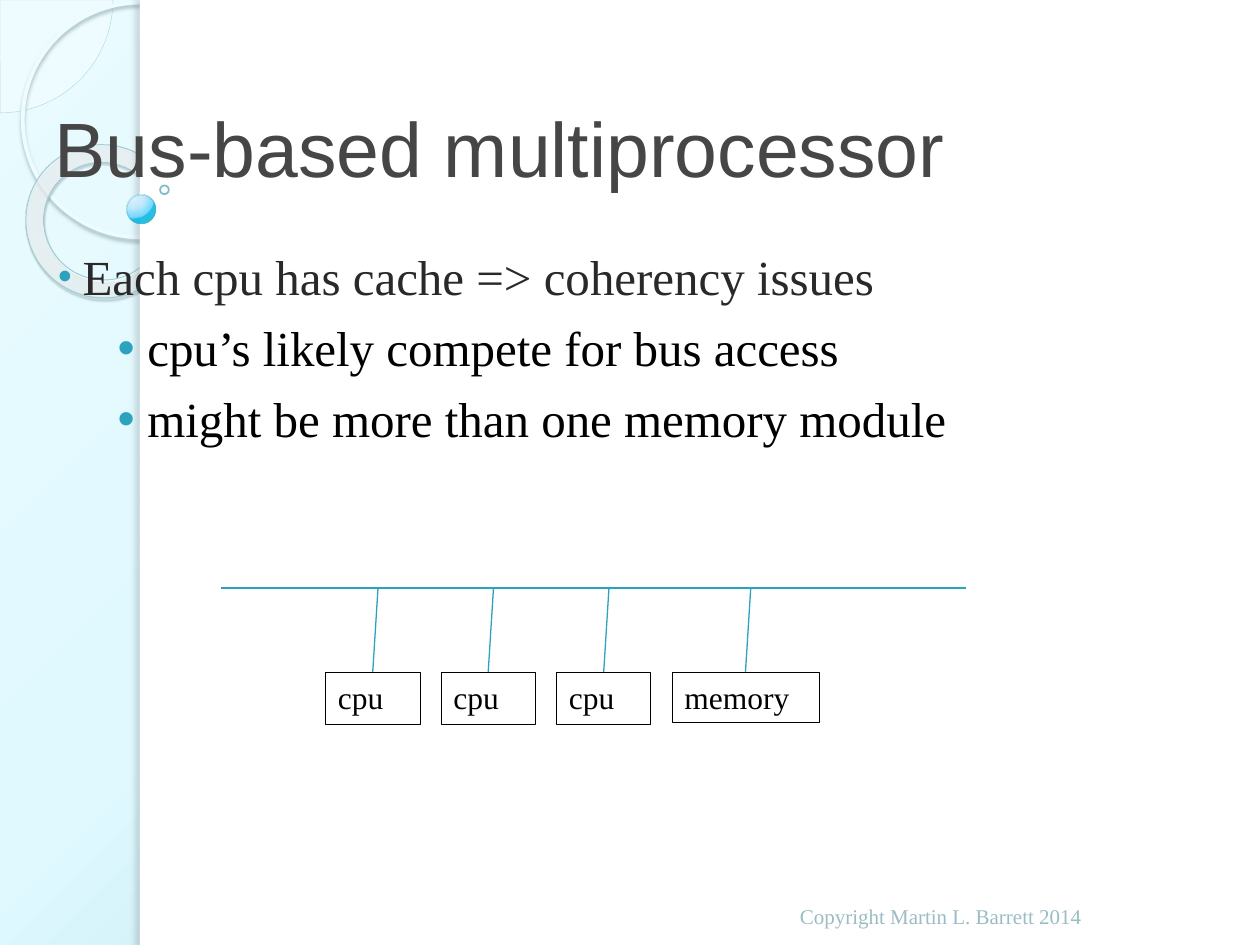
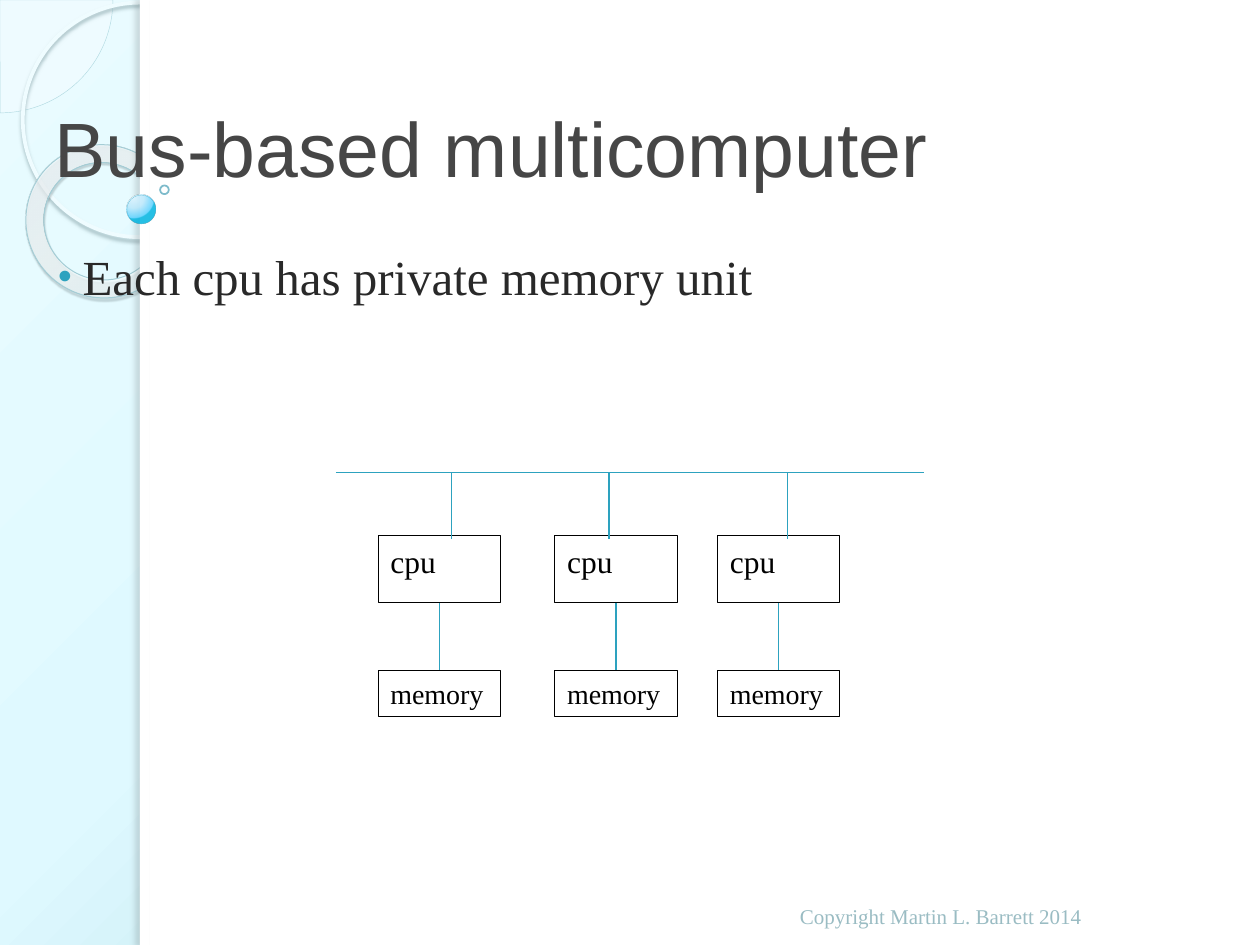
from lxml import etree
from pptx import Presentation
from pptx.dml.color import RGBColor
from pptx.enum.shapes import MSO_CONNECTOR, MSO_SHAPE
from pptx.enum.text import MSO_ANCHOR, MSO_AUTO_SIZE, PP_ALIGN
from pptx.oxml import parse_xml
from pptx.oxml.ns import nsdecls, qn
from pptx.util import Pt

BLACK = RGBColor(0x00, 0x00, 0x00)
WHITE = RGBColor(0xFF, 0xFF, 0xFF)
TITLE_GREY = RGBColor(0x46, 0x46, 0x46)
BODY_GREY = RGBColor(0x29, 0x29, 0x29)
FOOTER_GREY = RGBColor(0x9A, 0xBC, 0xC3)
TEAL = RGBColor(0x2D, 0xA2, 0xBF)
PALE = RGBColor(0xF9, 0xFE, 0xFF)
PIE_EDGE = RGBColor(0xB2, 0xDA, 0xE2)
CIRCLE_EDGE = RGBColor(0xEF, 0xFC, 0xFF)
DONUT_EDGE = RGBColor(0xA4, 0xCD, 0xD6)
BALL_EDGE = RGBColor(0x24, 0x9F, 0xBD)
RING_EDGE = RGBColor(0x28, 0x8F, 0xA9)

HEADING_FONT = "Arial"
BODY_FONT = "Times New Roman"
FOOTER = "Copyright Martin L. Barrett 2014"

# Gradients: (position, colour, opacity) stops, then the focus rectangle, all in percent
BACKDROP = ([(0, "E9FBFF", 100), (40, "DFF9FF", 100), (100, "96CBD6", 100)],
            (-24, -20, 124, 120))
DONUT_SHEEN = ([(0, "F9FEFF", 70), (70, "FDFFFF", 55), (100, "A3EEFE", 60)],
               (-408, -50, 508, 150))
BALL_SHEEN = ([(0, "DDF4FF", 95), (50, "BDE9FC", 90), (95, "61D3FF", 88),
               (100, "00B5E1", 85)], (25, 12, 75, 88))

# Shadows: colour, opacity, blur, distance, direction
DECORATIONS = [
    dict(kind=MSO_SHAPE.PIE, place=(-64.5, -64.5, 129, 129), adjust={0: 0, 1: 54},
         fill=PALE, fill_alpha=33, edge=PIE_EDGE, weight=0.25),
    dict(kind=MSO_SHAPE.OVAL, place=(13, 1.5, 134, 134), edge=CIRCLE_EDGE, weight=2.15,
         shadow=("9FB9BE", 85, 2, 2, 90)),
    dict(kind=MSO_SHAPE.DONUT, place=(14.5, 83, 88.5, 87), adjust={0: 0.118}, rotation=38.6,
         gradient=DONUT_SHEEN, edge=DONUT_EDGE, weight=0.58,
         shadow=("4C5D61", 35, 1, 1.2, 75)),
    dict(kind=MSO_SHAPE.RECTANGLE, place=(80, 0, 640, 540), fill=WHITE),
    dict(kind=MSO_SHAPE.RECTANGLE, place=(80, 0, 5.5, 540), fill=WHITE,
         shadow=("6E7A7D", 25, 3, 3, 180)),
    dict(kind=MSO_SHAPE.OVAL, place=(72.5, 111.5, 16.5, 16.5), gradient=BALL_SHEEN,
         edge=BALL_EDGE, weight=0.16, edge_alpha=60),
    dict(kind=MSO_SHAPE.OVAL, place=(91.5, 106, 5, 5), edge=RING_EDGE, weight=1,
         edge_alpha=60),
]

MULTIPROCESSOR = dict(
    title="Bus-based multiprocessor",
    bullets=[(0, "Each cpu has cache => coherency issues"),
             (1, "cpu’s likely compete for bus access"),
             (1, "might be more than one memory module")],
    bus=(126, 552, 336))
BUS_UNITS = [("cpu", 54, 30), ("cpu", 54, 30), ("cpu", 54, 30), ("memory", 84, 29)]
UNIT_LEFT, UNIT_STEP, UNIT_TOP, STEM_LEAN = 186, 66, 384, 3

MULTICOMPUTER = dict(
    title="Bus-based multicomputer",
    bullets=[(0, "Each cpu has private memory unit")],
    bus=(192, 528, 270))
NODES = [(216, 258), (317, 348), (410, 450)]  # left of the boxes, x of the stem
NODE_WIDTH, CPU_TOP, CPU_HEIGHT, MEMORY_TOP, MEMORY_HEIGHT = 70, 306, 38.5, 383, 26.5
STEM_END = 308

# Per level: text indent, bullet hang, bullet size in percent, text colour
LEVELS = [(16, 14, 80, BODY_GREY), (53, 17, 100, BLACK)]


def points(*lengths):
    return [Pt(length) for length in lengths]


def add_alpha(color_element, percent):
    etree.SubElement(color_element, qn("a:alpha"), val=str(percent * 1000))


def paint_gradient(fill, element, stops, focus):
    """Replace the fill, the first one inside element, by a circular gradient."""
    fill.solid()
    solid = next(element.iter(qn("a:solidFill")))
    stop_xml = "".join(
        f'<a:gs pos="{position * 1000}"><a:srgbClr val="{color}">'
        f'<a:alpha val="{alpha * 1000}"/></a:srgbClr></a:gs>'
        for position, color, alpha in stops)
    left, top, right, bottom = (edge * 1000 for edge in focus)
    solid.getparent().replace(solid, parse_xml(
        f'<a:gradFill {nsdecls("a")} rotWithShape="1"><a:gsLst>{stop_xml}</a:gsLst>'
        f'<a:path path="circle"><a:fillToRect l="{left}" t="{top}" r="{right}" '
        f'b="{bottom}"/></a:path></a:gradFill>'))


def cast_shadow(shape, color, alpha, blur, distance, direction):
    effects = shape.element.spPr.find(qn("a:effectLst"))
    effects.append(parse_xml(
        f'<a:outerShdw {nsdecls("a")} blurRad="{Pt(blur)}" dist="{Pt(distance)}" '
        f'dir="{direction * 60000}" algn="tl" rotWithShape="0"><a:srgbClr val="{color}">'
        f'<a:alpha val="{alpha * 1000}"/></a:srgbClr></a:outerShdw>'))


def add_figure(page, kind, place, fill=None, fill_alpha=None, gradient=None, edge=None,
               weight=1, edge_alpha=None, shadow=None, adjust=None, rotation=0):
    shape = page.shapes.add_shape(kind, *points(*place))
    shape.rotation = rotation
    for index, value in (adjust or {}).items():
        shape.adjustments[index] = value
    shape.shadow.inherit = False
    if gradient:
        paint_gradient(shape.fill, shape.element.spPr, *gradient)
    elif fill is not None:
        shape.fill.solid()
        shape.fill.fore_color.rgb = fill
        if fill_alpha:
            add_alpha(next(shape.element.spPr.iter(qn("a:srgbClr"))), fill_alpha)
    else:
        shape.fill.background()
    if edge is None:
        shape.line.fill.background()
    else:
        shape.line.color.rgb = edge
        shape.line.width = Pt(weight)
        if edge_alpha:
            line = shape.element.spPr.find(qn("a:ln"))
            add_alpha(next(line.iter(qn("a:srgbClr"))), edge_alpha)
    if shadow:
        cast_shadow(shape, *shadow)
    return shape


def write(para, text, size, color, font=BODY_FONT):
    para.alignment = PP_ALIGN.LEFT
    para.text = text
    para.font.size = Pt(size)
    para.font.name = font
    para.font.color.rgb = color


def set_frame(box, anchor=MSO_ANCHOR.TOP):
    frame = box.text_frame
    frame.word_wrap = True
    frame.auto_size = MSO_AUTO_SIZE.NONE
    frame.vertical_anchor = anchor
    return frame


def place_box(box, left, top, width, height):
    box.left, box.top, box.width, box.height = points(left, top, width, height)


def add_bullet(para, level):
    indent, hang, size, _ = LEVELS[level]
    properties = para._p.get_or_add_pPr()
    properties.set("marL", str(Pt(indent)))
    properties.set("indent", str(-Pt(hang)))
    color = etree.SubElement(properties, qn("a:buClr"))
    etree.SubElement(color, qn("a:srgbClr"), val=str(TEAL))
    etree.SubElement(properties, qn("a:buSzPct"), val=str(size * 1000))
    etree.SubElement(properties, qn("a:buFont"), typeface=HEADING_FONT)
    etree.SubElement(properties, qn("a:buChar"), char="•")


def add_wire(page, start, end):
    wire = page.shapes.add_connector(MSO_CONNECTOR.STRAIGHT, *points(*start, *end))
    wire.line.color.rgb = TEAL
    wire.line.width = Pt(0.75)
    etree.SubElement(wire.element.spPr, qn("a:effectLst"))
    return wire


def add_unit(page, name, place, size=18):
    box = add_figure(page, MSO_SHAPE.RECTANGLE, place, edge=BLACK, weight=0.5)
    write(set_frame(box).paragraphs[0], name, size, BLACK)
    return box


def decorate_layout(layout, page):
    """Draw the shared decoration on page and move it behind the layout's placeholders."""
    paint_gradient(layout.background.fill, layout.element, *BACKDROP)
    for index, decoration in enumerate(DECORATIONS):
        element = add_figure(page, **decoration).element
        element.nvSpPr.cNvPr.set("id", str(100 + index))
        layout.shapes.element.insert(2 + index, element)


def fill_page(page, title, bullets, bus):
    heading, body = page.shapes.title, page.placeholders[1]
    place_box(heading, 24, 36, 648, 78)
    write(set_frame(heading, MSO_ANCHOR.BOTTOM).paragraphs[0], title, 44, TITLE_GREY,
          HEADING_FONT)

    place_box(body, 24, 138, 648, 372)
    frame = set_frame(body)
    frame.margin_top = Pt(3)
    for index, (level, text) in enumerate(bullets):
        para = frame.add_paragraph() if index else frame.paragraphs[0]
        para.level = level
        add_bullet(para, level)
        para.space_before = Pt(7 if index else 0)
        write(para, text, 28, LEVELS[level][3])

    footer = page.shapes.add_textbox(*points(450, 497, 228, 37))
    write(set_frame(footer, MSO_ANCHOR.BOTTOM).paragraphs[0], FOOTER, 12, FOOTER_GREY)

    left, right, bus_y = bus
    add_wire(page, (left, bus_y), (right, bus_y))


def draw_multiprocessor(page):
    bus_y = MULTIPROCESSOR["bus"][2]
    for index, (name, width, height) in enumerate(BUS_UNITS):
        left = UNIT_LEFT + index * UNIT_STEP
        middle = left + width / 2
        box = add_unit(page, name, (left, UNIT_TOP, width, height))
        stem = add_wire(page, (middle, UNIT_TOP), (middle + STEM_LEAN, bus_y))
        stem.begin_connect(box, 0)


def draw_multicomputer(page):
    bus_y = MULTICOMPUTER["bus"][2]
    for left, stem_x in NODES:
        cpu = add_unit(page, "cpu", (left, CPU_TOP, NODE_WIDTH, CPU_HEIGHT))
        memory = add_unit(page, "memory", (left, MEMORY_TOP, NODE_WIDTH, MEMORY_HEIGHT), 16)
        middle = left + NODE_WIDTH / 2
        link = add_wire(page, (middle, CPU_TOP + CPU_HEIGHT), (middle, MEMORY_TOP))
        link.begin_connect(cpu, 2)
        link.end_connect(memory, 0)
        add_wire(page, (stem_x, bus_y), (stem_x, STEM_END))


def main():
    deck = Presentation()
    deck.slide_width, deck.slide_height = points(720, 540)
    layout = deck.slide_layouts[0]
    first, second = (deck.slides.add_slide(layout) for _ in range(2))
    decorate_layout(layout, first)
    fill_page(first, **MULTIPROCESSOR)
    draw_multiprocessor(first)
    fill_page(second, **MULTICOMPUTER)
    draw_multicomputer(second)
    deck.save("out.pptx")


if __name__ == "__main__":
    main()
